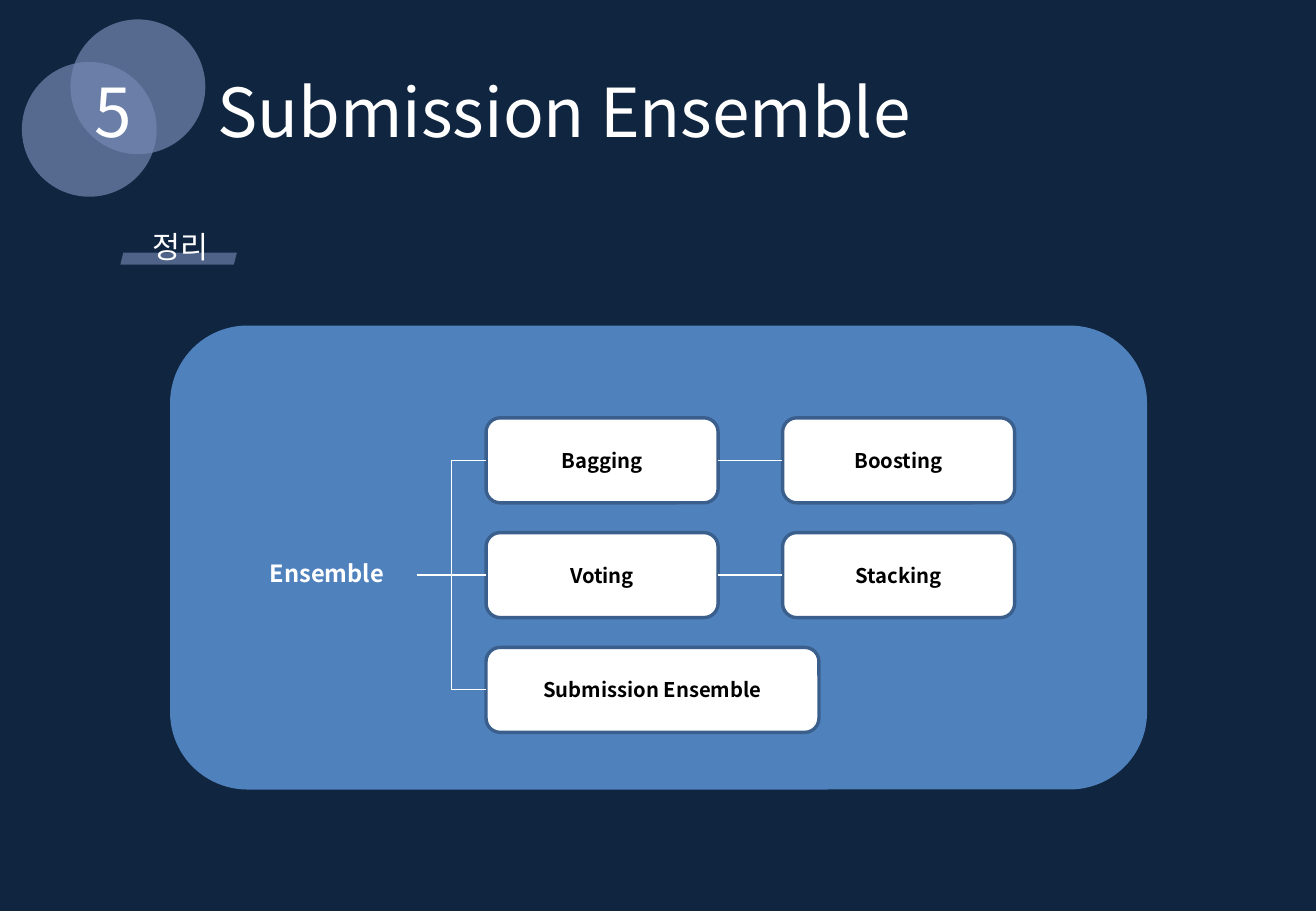
import dataclasses

import pptx
import pptx.dml.color
import pptx.enum.shapes
import pptx.enum.text
import pptx.oxml.ns
import pptx.util
from lxml import etree

Inches = pptx.util.Inches
Preset = pptx.enum.shapes.MSO_SHAPE
Align = pptx.enum.text.PP_ALIGN
Anchor = pptx.enum.text.MSO_ANCHOR
qn = pptx.oxml.ns.qn


@dataclasses.dataclass(frozen=True)
class Theme:
    font: str = "Noto Sans CJK KR"
    background: str = "10253F"
    circle: str = "7487B2"
    underline: str = "6A7EA8"
    panel: str = "4F81BD"
    box_line: str = "3A5F8C"
    white: str = "FFFFFF"
    black: str = "000000"
    opacity: int = 70
    title_size: int = 40
    heading_size: int = 18
    root_size: int = 14
    method_size: int = 12


@dataclasses.dataclass(frozen=True)
class Area:
    left: float
    top: float
    width: float
    height: float

    @property
    def right(self) -> float:
        return self.left + self.width

    @property
    def middle(self) -> float:
        return self.top + self.height / 2

    def lengths(self) -> tuple:
        return tuple(Inches(n) for n in (self.left, self.top, self.width, self.height))


@dataclasses.dataclass(frozen=True)
class Decoration:
    preset: int
    area: Area
    color: str
    opacity: int = 100


@dataclasses.dataclass(frozen=True)
class Label:
    text: str
    area: Area
    size: int
    bold: bool = False


@dataclasses.dataclass(frozen=True)
class Method:
    text: str
    row: int
    column: int = 0
    width: float = 1.91

    @property
    def area(self) -> Area:
        return Area(4 + 2.44 * self.column, 3.44 + 0.945 * self.row, self.width, 0.7)


THEME = Theme()
TITLE = Label("Submission Ensemble", Area(1.69, 0.53, 6.14, 0.77), THEME.title_size)
UNDERLINE = Decoration(Preset.PARALLELOGRAM, Area(0.99, 2.08, 0.96, 0.1), THEME.underline, THEME.opacity)
CIRCLES = [
    Decoration(Preset.FLOWCHART_CONNECTOR, Area(left, top, 1.11, 1.11), THEME.circle, THEME.opacity)
    for left, top in ((0.58, 0.16), (0.18, 0.51))
]
PANEL = Decoration(Preset.ROUNDED_RECTANGLE, Area(1.4, 2.68, 8.04, 3.82), THEME.panel)
ROOT = Label("Ensemble", Area(1.95, 4.55, 1.48, 0.38), THEME.root_size, True)
LABELS = [
    Label("5", Area(0.38, 0.53, 1.11, 0.77), THEME.title_size),
    Label("정리", Area(0, 1.83, 2.97, 0.4), THEME.heading_size),
    ROOT,
]
METHODS = [
    Method("Bagging", 0),
    Method("Boosting", 0, 1),
    Method("Voting", 1),
    Method("Stacking", 1, 1),
    Method("Submission Ensemble", 2, width=2.74),
]


def rgb(color: str) -> pptx.dml.color.RGBColor:
    return pptx.dml.color.RGBColor.from_string(color)


def write_text(shape, text: str, size: int, color: str, bold: bool = False,
               align=Align.CENTER, anchor=Anchor.TOP) -> None:
    frame = shape.text_frame
    frame.text = text
    frame.word_wrap = True
    frame.vertical_anchor = anchor
    para = frame.paragraphs[0]
    para.alignment = align
    for span in para.runs:
        span.font.name = THEME.font
        span.font.size = pptx.util.Pt(size)
        span.font.bold = bold
        span.font.color.rgb = rgb(color)
        etree.SubElement(span.font._element, qn("a:ea"), typeface=THEME.font)


def add_decoration(page, decoration: Decoration) -> None:
    shape = page.shapes.add_shape(decoration.preset, *decoration.area.lengths())
    shape.shadow.inherit = False
    shape.fill.solid()
    shape.fill.fore_color.rgb = rgb(decoration.color)
    shape.line.fill.background()
    if decoration.opacity < 100:
        color = shape._element.spPr.find(qn("a:solidFill")).find(qn("a:srgbClr"))
        etree.SubElement(color, qn("a:alpha"), val=str(decoration.opacity * 1000))


def add_label(page, label: Label) -> None:
    box = page.shapes.add_textbox(*label.area.lengths())
    write_text(box, label.text, label.size, THEME.white, label.bold)


def add_method(page, method: Method) -> None:
    box = page.shapes.add_shape(Preset.ROUNDED_RECTANGLE, *method.area.lengths())
    box.shadow.inherit = False
    box.fill.solid()
    box.fill.fore_color.rgb = rgb(THEME.white)
    box.line.color.rgb = rgb(THEME.box_line)
    box.line.width = pptx.util.Pt(2)
    write_text(box, method.text, THEME.method_size, THEME.black, True, anchor=Anchor.MIDDLE)


def add_branch(page, source: Area, target: Area) -> None:
    branch = page.shapes.add_connector(
        pptx.enum.shapes.MSO_CONNECTOR.ELBOW,
        Inches(source.right), Inches(source.middle), Inches(target.left), Inches(target.middle),
    )
    branch.line.color.rgb = rgb(THEME.white)
    branch.line.width = pptx.util.Pt(0.75)
    etree.SubElement(branch._element.spPr, qn("a:effectLst"))


def main() -> None:
    deck = pptx.Presentation()
    deck.slide_width = Inches(10.83)
    deck.slide_height = Inches(7.5)
    page = deck.slides.add_slide(deck.slide_layouts[5])
    page.background.fill.solid()
    page.background.fill.fore_color.rgb = rgb(THEME.background)

    title = page.shapes.title
    title.left, title.top, title.width, title.height = TITLE.area.lengths()
    write_text(title, TITLE.text, TITLE.size, THEME.white, align=Align.LEFT)
    title.text_frame.auto_size = pptx.enum.text.MSO_AUTO_SIZE.NONE

    for decoration in (UNDERLINE, *CIRCLES, PANEL):
        add_decoration(page, decoration)
    for label in LABELS:
        add_label(page, label)
    for method in METHODS:
        add_method(page, method)

    first_column = {method.row: method.area for method in METHODS if method.column == 0}
    root = dataclasses.replace(ROOT.area, top=first_column[1].top, height=first_column[1].height)
    for method in METHODS:
        source = first_column[method.row] if method.column else root
        add_branch(page, source, method.area)

    deck.save("out.pptx")


if __name__ == "__main__":
    main()
